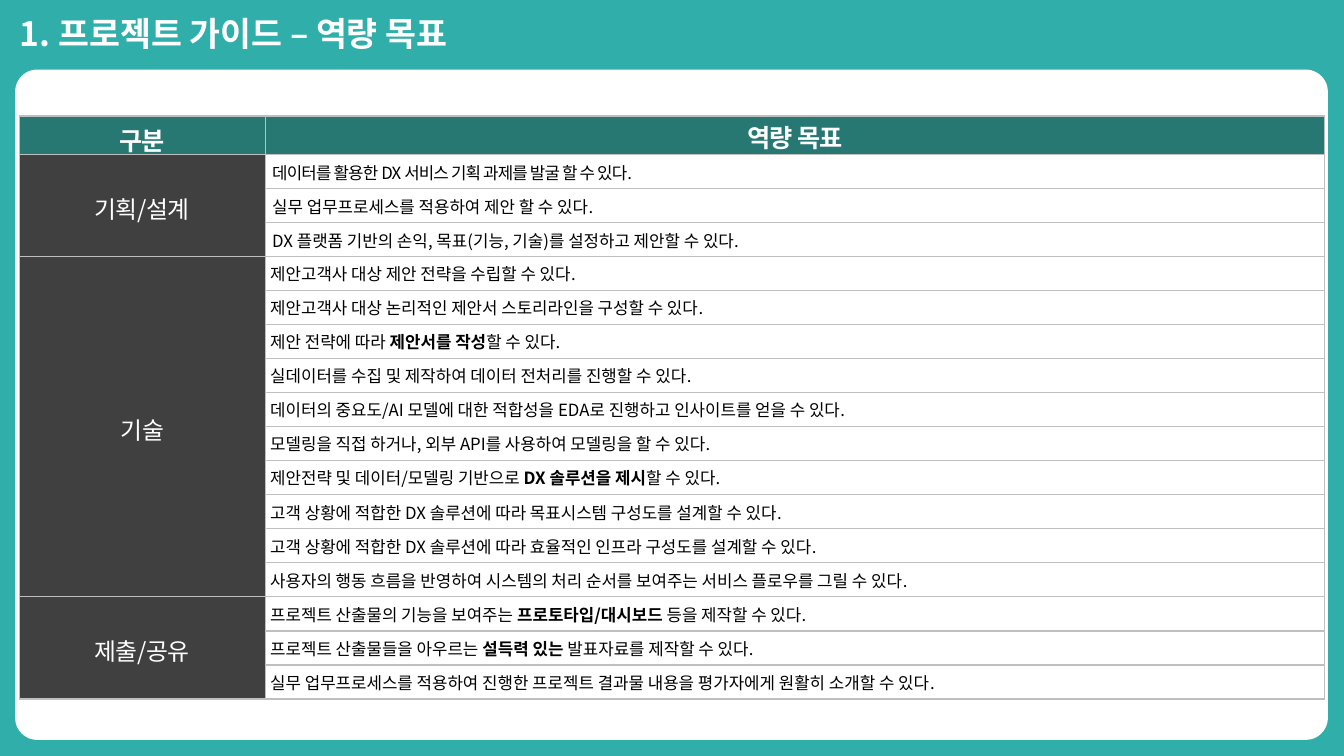
from lxml import etree
from pptx import Presentation
from pptx import util as u
from pptx.dml.color import RGBColor
from pptx.enum import shapes, text
from pptx.oxml.ns import qn

TEAL = RGBColor(0x30, 0xAE, 0xAA)
DARK_TEAL = RGBColor(0x27, 0x78, 0x72)
CHARCOAL = RGBColor(0x40, 0x40, 0x40)
WHITE = RGBColor(0xFF, 0xFF, 0xFF)
BLACK = RGBColor(0, 0, 0)
GRAY = RGBColor(0xBF, 0xBF, 0xBF)

TITLE = "1. 프로젝트 가이드 – 역량 목표"
HEADINGS = ["구분", "역량 목표"]
TABLE_HEIGHT, HEADER_HEIGHT = 5.79, 0.38
TIGHT = -0.6

# Bold parts stand between asterisks.
GOALS = {
    "기획/설계": [
        "데이터를 활용한 DX 서비스 기획 과제를 발굴 할 수 있다.",
        "실무 업무프로세스를 적용하여 제안 할 수 있다.",
        "DX 플랫폼 기반의 손익, 목표(기능, 기술)를 설정하고 제안할 수 있다.",
    ],
    "기술": [
        "제안고객사 대상 제안 전략을 수립할 수 있다.",
        "제안고객사 대상 논리적인 제안서 스토리라인을 구성할 수 있다.",
        "제안 전략에 따라 *제안서를 작성*할 수 있다.",
        "실데이터를 수집 및 제작하여 데이터 전처리를 진행할 수 있다.",
        "데이터의 중요도/AI 모델에 대한 적합성을 EDA로 진행하고 인사이트를 얻을 수 있다.",
        "모델링을 직접 하거나, 외부 API를 사용하여 모델링을 할 수 있다.",
        "제안전략 및 데이터/모델링 기반으로 *DX 솔루션을 제시*할 수 있다.",
        "고객 상황에 적합한 DX 솔루션에 따라 목표시스템 구성도를 설계할 수 있다.",
        "고객 상황에 적합한 DX 솔루션에 따라 효율적인 인프라 구성도를 설계할 수 있다.",
        "사용자의 행동 흐름을 반영하여 시스템의 처리 순서를 보여주는 서비스 플로우를 그릴 수 있다.",
    ],
    "제출/공유": [
        "프로젝트 산출물의 기능을 보여주는 *프로토타입/대시보드 *등을 제작할 수 있다.",
        "프로젝트 산출물들을 아우르는 *설득력 있는 *발표자료를 제작할 수 있다.",
        "실무 업무프로세스를 적용하여 진행한 프로젝트 결과물 내용을 평가자에게 원활히 소개할 수 있다.",
    ],
}


def write(frame, content, font, size, color, bold=False, align=None,
          line=None, after=None, tracking=0):
    """Fill a text frame; parts between asterisks become bold."""
    para = frame.paragraphs[0]
    para.alignment = align
    para.line_spacing = line
    if after is not None:
        para.space_after = u.Pt(after)
    for index, part in enumerate(content.split("*")):
        span = para.add_run()
        span.text = part
        span.font.name = font
        span.font.size = u.Pt(size)
        span.font.bold = bold or index % 2 == 1
        span.font.color.rgb = color
        properties = span.font._element
        if tracking:
            properties.set("spc", str(round(tracking * 100)))
        latin = properties.find(qn("a:latin"))
        east_asian = etree.Element(qn("a:ea"), typeface=font)
        latin.addnext(east_asian)


class SlideBuilder:
    font = "Noto Sans CJK KR"

    def __init__(self, deck):
        self.page = deck.slides.add_slide(deck.slide_layouts[6])
        self.page.background.fill.solid()
        self.page.background.fill.fore_color.rgb = TEAL

    def title(self, content, *place):
        box = self.page.shapes.add_textbox(*map(u.Inches, place))
        box.text_frame.word_wrap = True
        box.text_frame.auto_size = text.MSO_AUTO_SIZE.SHAPE_TO_FIT_TEXT
        write(box.text_frame, content, self.font, 24, WHITE, bold=True)

    def panel(self, *place):
        panel = self.page.shapes.add_shape(
            shapes.MSO_SHAPE.ROUNDED_RECTANGLE, *map(u.Inches, place))
        panel.adjustments[0] = 0.033
        panel.shadow.inherit = False
        panel.fill.solid()
        panel.fill.fore_color.rgb = WHITE
        panel.line.fill.background()

    def table(self, rows, widths, heights, left, top):
        frame = self.page.shapes.add_table(
            rows, len(widths), u.Inches(left), u.Inches(top),
            u.Inches(sum(widths)), u.Inches(sum(heights)))
        table = frame.table
        table.first_row = table.horz_banding = False
        for column, width in zip(table.columns, widths):
            column.width = u.Inches(width)
        for row, height in zip(table.rows, heights):
            row.height = u.Inches(height)
        for cell in table.iter_cells():
            self.borders(cell)
        return table

    def borders(self, cell):
        properties = cell._tc.get_or_add_tcPr()
        for index, side in enumerate(("lnL", "lnR", "lnT", "lnB")):
            border = etree.Element(qn(f"a:{side}"), w=str(u.Pt(1)))
            fill = etree.SubElement(border, qn("a:solidFill"))
            etree.SubElement(fill, qn("a:srgbClr"), val=str(GRAY))
            properties.insert(index, border)

    def cell(self, cell, content, fill, size, color, side=0.07, **style):
        cell.fill.solid()
        cell.fill.fore_color.rgb = fill
        cell.vertical_anchor = text.MSO_ANCHOR.MIDDLE
        cell.margin_left = cell.margin_right = u.Inches(side)
        cell.margin_top = cell.margin_bottom = 0
        write(cell.text_frame, content, self.font, size, color, **style)


def main():
    deck = Presentation()
    deck.slide_width, deck.slide_height = u.Inches(13.33), u.Inches(7.5)
    builder = SlideBuilder(deck)
    builder.title(TITLE, 0.1, 0.08, 5.06, 0.5)
    builder.panel(0.15, 0.69, 13.02, 6.65)

    count = sum(map(len, GOALS.values()))
    row_height = (TABLE_HEIGHT - HEADER_HEIGHT) / count
    table = builder.table(count + 1, [2.44, 10.51],
                          [HEADER_HEIGHT] + [row_height] * count, 0.19, 1.15)
    center = text.PP_ALIGN.CENTER
    for column, (heading, line) in enumerate(zip(HEADINGS, (1.15, 1.07))):
        builder.cell(table.cell(0, column), heading, DARK_TEAL, 18, WHITE,
                     bold=True, align=center, line=line, tracking=TIGHT)

    first = 1
    for group, goals in GOALS.items():
        last = first + len(goals) - 1
        table.cell(first, 0).merge(table.cell(last, 0))
        builder.cell(table.cell(first, 0), group, CHARCOAL, 17, WHITE,
                     align=center, line=1.15,
                     tracking=0 if group == "기술" else TIGHT)
        for row, goal in enumerate(goals, first):
            if group == "기획/설계":
                style = dict(align=text.PP_ALIGN.JUSTIFY, line=1.07, after=3,
                             tracking=TIGHT if row == 1 else 0)
            else:
                style = dict(side=0.05)
            builder.cell(table.cell(row, 1), goal, WHITE, 12, BLACK, **style)
        first = last + 1
    deck.save("out.pptx")


if __name__ == "__main__":
    main()
